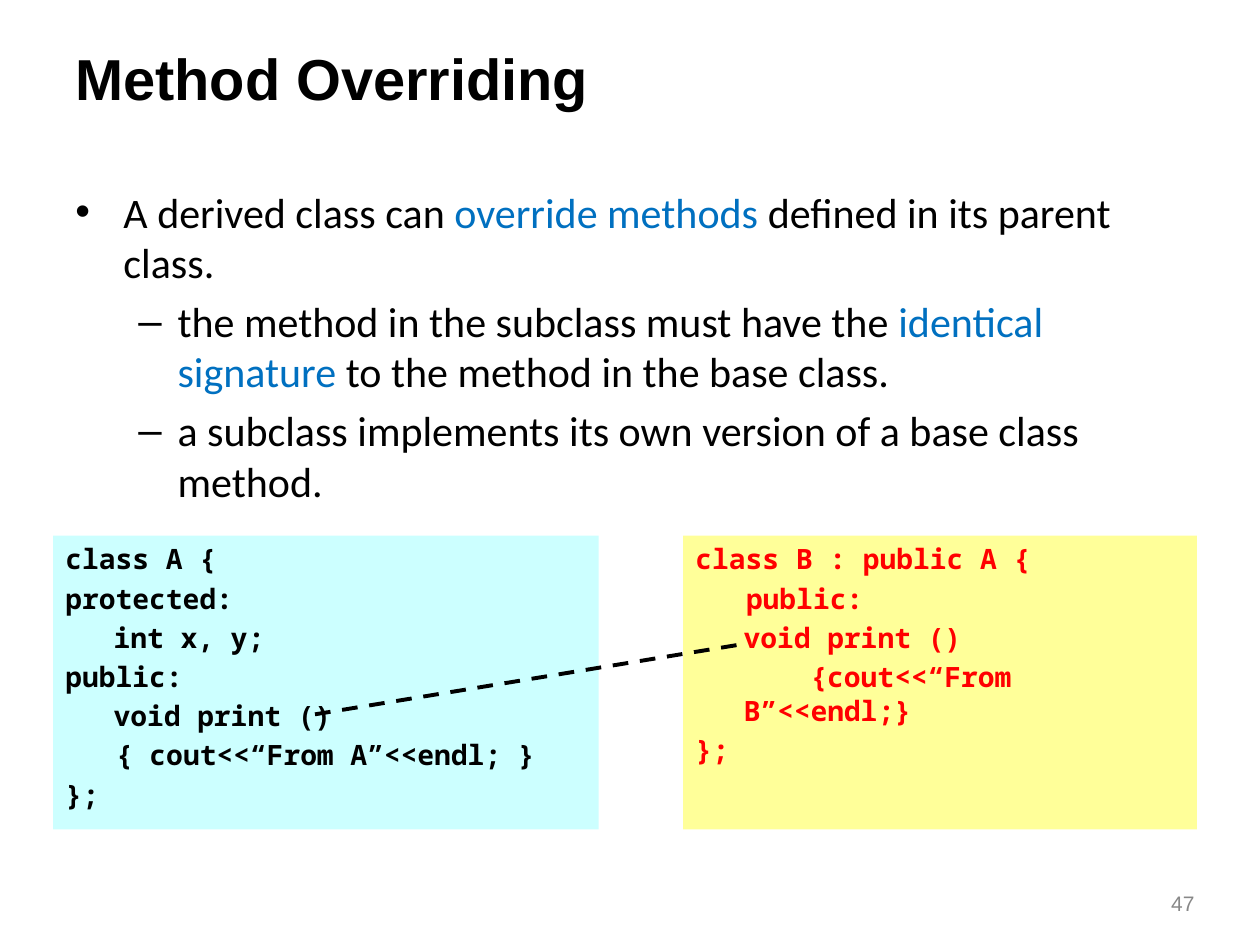
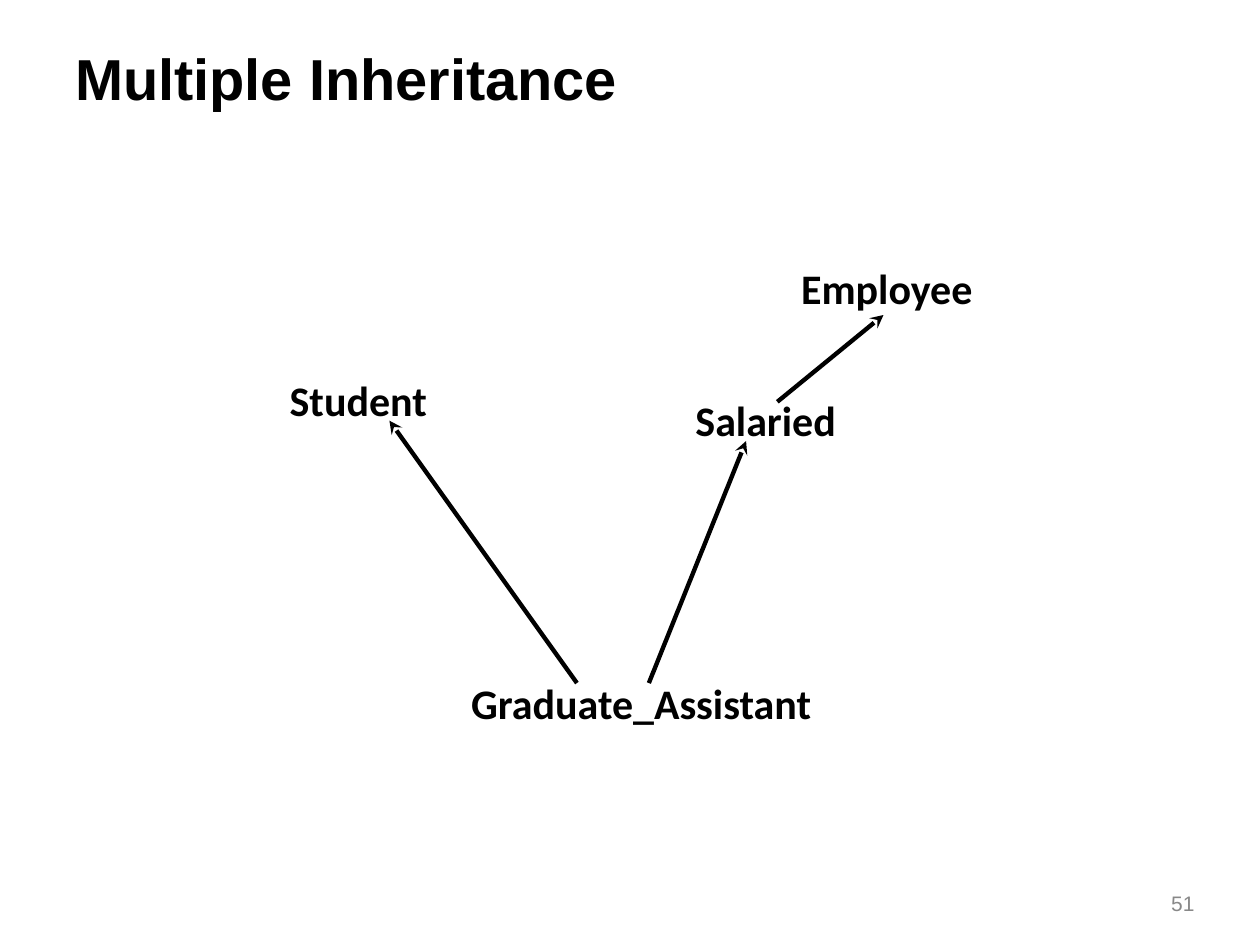
from dataclasses import dataclass

from lxml import etree
from pptx import Presentation
from pptx import util as u
from pptx.dml.color import RGBColor
from pptx.enum import dml, shapes, text
from pptx.oxml.ns import qn


@dataclass(frozen=True)
class Theme:
    ink: str = "000000"
    blue: str = "0070C0"
    red: str = "FF0000"
    gray: str = "888888"
    aqua: str = "CCFFFF"
    lemon: str = "FFFF99"
    sans: str = "Arial"
    body: str = "Calibri"
    mono: str = "Noto Sans Mono"
    head: int = 33
    large: int = 24
    code: int = 16
    small: int = 12


T = Theme()

# Bullet points: level, then runs of (text, colour)
POINTS = [
    (0, [("A derived class can ", T.ink), ("override methods ", T.blue),
         ("defined in its parent class.", T.ink)]),
    (1, [("the method in the subclass must have the ", T.ink),
         ("identical signature", T.blue),
         (" to the method in the base class.", T.ink)]),
    (1, [("a subclass implements its own version of a base class method.", T.ink)]),
]
# Per level: bullet, left margin, hanging indent (cm), space before (pt)
LEVELS = [("•", 0.97, -0.97, 0), ("–", 2.06, -0.79, 4.8)]

# Code lines: left margin, first-line indent (cm), text
TAB, STEP = 0.97, 1.02
BASE = [
    (0, 0, "class A {"),
    (0, 0, "protected:"),
    (TAB, 0, "int x, y;"),
    (0, 0, "public:"),
    (TAB, 0, "void print ()"),
    (STEP, 0, "{ cout<<“From A”<<endl; }"),
    (0, 0, "};"),
]
CHILD = [
    (0, 0, "class B : public A {"),
    (STEP, 0, "public:"),
    (TAB, 0, "void print ()"),
    (TAB, 1.35, "{cout<<“From B”<<endl;}"),
    (0, 0, "};"),
]
# Panels: left, width (cm), fill, text colour, lines
PANELS = [(1.07, 11, T.aqua, T.ink, BASE), (13.77, 10.36, T.lemon, T.red, CHILD)]
MATCH = (6.35, 14.4, 14.88, 13)

# Class names: text, left, top, width (cm)
NODES = [
    ("Student", 5.59, 7.42, 3.3),
    ("Employee", 15.9, 5.16, 4.01),
    ("Graduate_Assistant", 9.25, 13.54, 7.44),
    ("Salaried", 13.77, 7.82, 3.38),
]
# From subclass to base class
LINKS = [
    (11.63, 13.77, 7.85, 8.48),
    (15.67, 8.1, 17.81, 6.35),
    (13.08, 13.77, 15.04, 8.89),
]


def rgb(code):
    return RGBColor.from_string(code)


def style(par, face, size, color=None, bold=False):
    par.font.name, par.font.size, par.font.bold = face, u.Pt(size), bold
    if color:
        par.font.color.rgb = rgb(color)


def indent(par, left, first):
    props = par._p.get_or_add_pPr()
    props.set("marL", str(u.Cm(left)))
    props.set("indent", str(u.Cm(first)))
    return props


def frame(slide, *place):
    """Add a wrapping text box and return its text frame."""
    box = slide.shapes.add_textbox(*map(u.Cm, place)).text_frame
    box.word_wrap = True
    return box


def rows(box, items):
    """Yield a paragraph with each item, using the first one already there."""
    for i, item in enumerate(items):
        yield (box.add_paragraph() if i else box.paragraphs[0]), item


def label(slide, words, place, *look):
    box = frame(slide, *place)
    par = box.paragraphs[0]
    par.text = words
    style(par, *look)
    return box


def line(slide, ends, width, dash=False, arrow=False):
    link = slide.shapes.add_connector(
        shapes.MSO_CONNECTOR.STRAIGHT, *map(u.Cm, ends))
    link.line.color.rgb = rgb(T.ink)
    link.line.width = u.Pt(width)
    if dash:
        link.line.dash_style = dml.MSO_LINE.DASH
    if arrow:
        etree.SubElement(link.line._get_or_add_ln(), qn("a:tailEnd"), type="stealth")
    etree.SubElement(link._element.spPr, qn("a:effectLst"))


def page(deck, title, number):
    """Add a slide with the shared title and page number."""
    slide = deck.slides.add_slide(deck.slide_layouts[6])
    head = label(slide, title, (1.27, 0.41, 22.86, 2.31),
                 T.sans, T.head, T.ink, True)
    head.vertical_anchor = text.MSO_ANCHOR.MIDDLE
    foot = label(slide, str(number), (22.3, 17.83, 2.03, 0.89),
                 T.sans, T.small, T.gray)
    foot.paragraphs[0].alignment = text.PP_ALIGN.RIGHT
    return slide


def points(slide):
    box = frame(slide, 1.27, 3.63, 23.06, 14.2)
    for par, (level, runs) in rows(box, POINTS):
        mark, left, first, gap = LEVELS[level]
        par.level = level
        par.space_before = u.Pt(gap)
        style(par, T.body, T.large)
        props = indent(par, left, first)
        tint = etree.SubElement(props, qn("a:buClr"))
        etree.SubElement(tint, qn("a:srgbClr"), val=T.ink)
        etree.SubElement(props, qn("a:buFont"), typeface=T.sans)
        etree.SubElement(props, qn("a:buChar"), char=mark)
        # Bullet elements must precede the default run properties
        props.append(props.find(qn("a:defRPr")))
        for words, color in runs:
            run = par.add_run()
            run.text = words
            run.font.color.rgb = rgb(color)


def panel(slide, left, width, fill, color, lines):
    rect = slide.shapes.add_shape(
        shapes.MSO_SHAPE.RECTANGLE, *map(u.Cm, (left, 10.8, width, 5.92)))
    rect.shadow.inherit = False
    rect.fill.solid()
    rect.fill.fore_color.rgb = rgb(fill)
    rect.line.fill.background()
    box = rect.text_frame
    box.word_wrap = True
    box.vertical_anchor = text.MSO_ANCHOR.TOP
    for i, (par, (start, first, words)) in enumerate(rows(box, lines)):
        par.text = words
        par.alignment = text.PP_ALIGN.LEFT
        par.space_before = u.Pt(3.2 if i else 0)
        style(par, T.mono, T.code, color, True)
        indent(par, start, first)


def main():
    deck = Presentation()
    deck.slide_width, deck.slide_height = u.Cm(25.4), u.Cm(19.05)

    slide = page(deck, "Method Overriding", 47)
    points(slide)
    for item in PANELS:
        panel(slide, *item)
    line(slide, MATCH, 2.25, dash=True)

    slide = page(deck, "Multiple Inheritance", 51)
    for name, left, top, width in NODES:
        label(slide, name, (left, top, width, 1.27), T.body, T.large, T.ink, True)
    for ends in LINKS:
        line(slide, ends, 2.5, arrow=True)

    deck.save("out.pptx")


if __name__ == "__main__":
    main()
